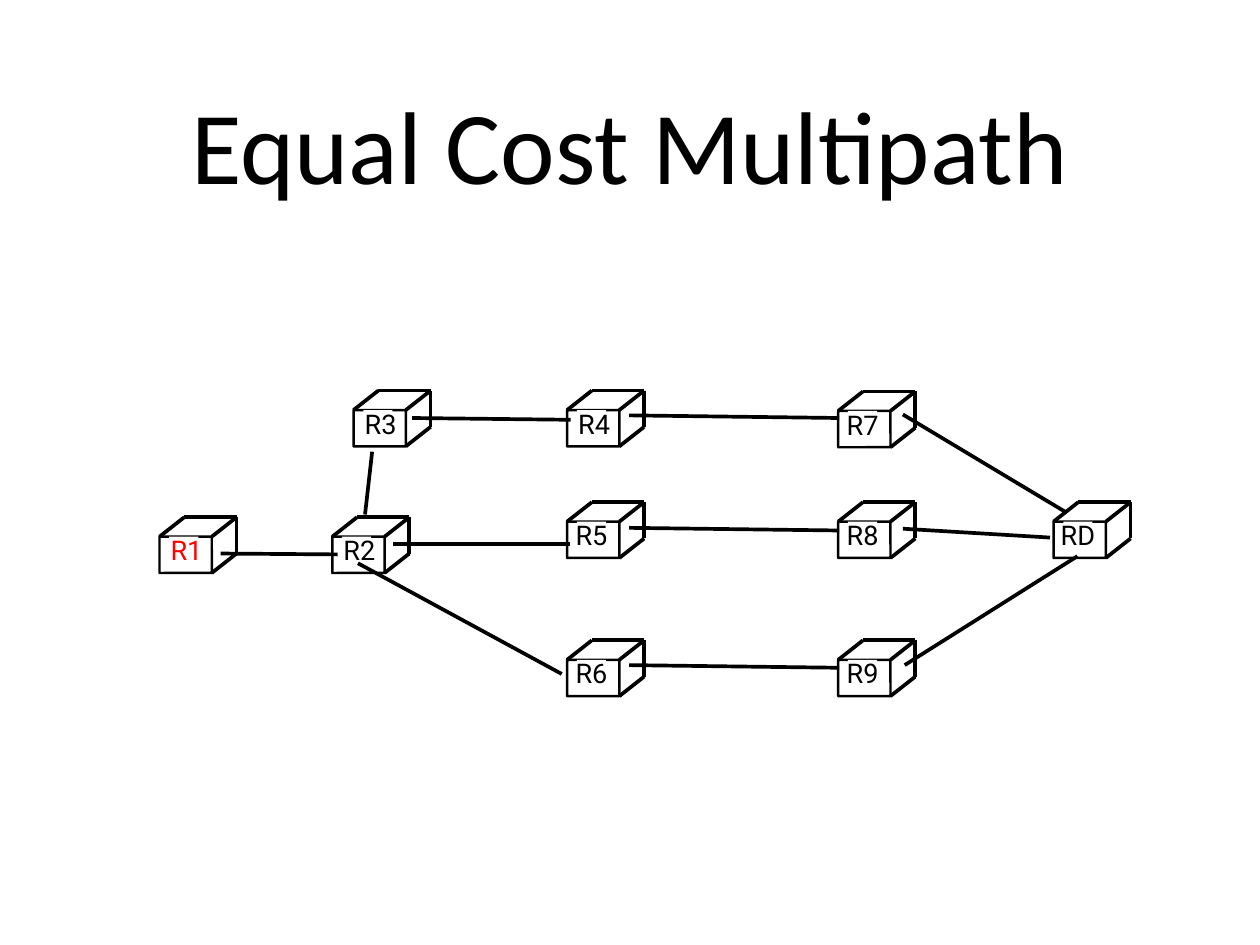
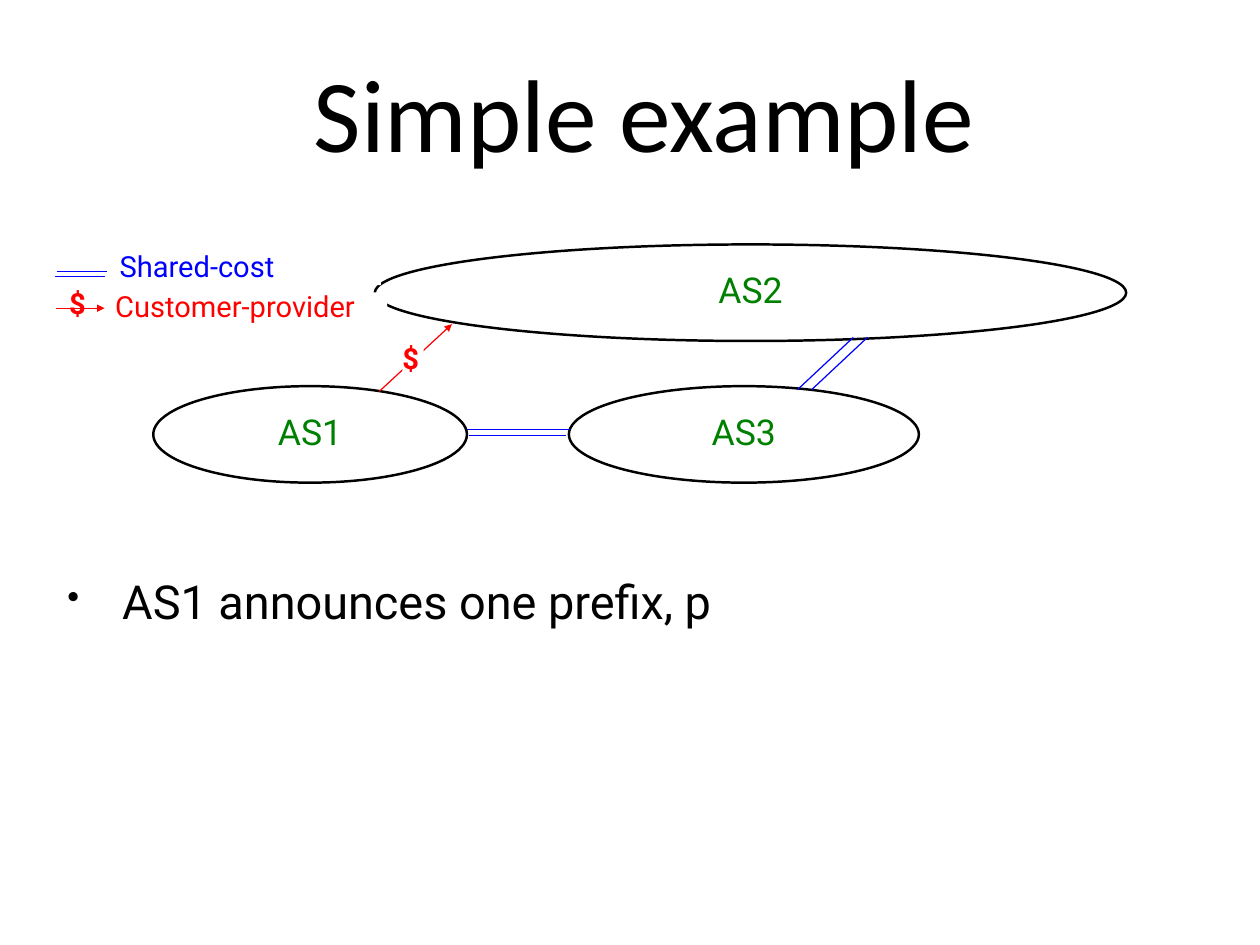
from typing import NamedTuple

from pptx import Presentation
from pptx.dml.color import RGBColor
from pptx.enum.shapes import MSO_CONNECTOR, MSO_SHAPE
from pptx.enum.text import MSO_ANCHOR, PP_ALIGN
from pptx.oxml.ns import qn
from pptx.util import Emu, Pt
from lxml import etree

PX = 9144  # 100 px to the inch
SLIDE_W, SLIDE_H = 1422, 1067

BLACK = RGBColor(0x00, 0x00, 0x00)
WHITE = RGBColor(0xFF, 0xFF, 0xFF)
RED = RGBColor(0xFF, 0x00, 0x00)
GREEN = RGBColor(0x00, 0x80, 0x00)
BLUE = RGBColor(0x00, 0x00, 0xFF)

STRAIGHT = MSO_CONNECTOR.STRAIGHT
RECT, ROUND_RECT, OVAL = MSO_SHAPE.RECTANGLE, MSO_SHAPE.ROUNDED_RECTANGLE, MSO_SHAPE.OVAL
MIDDLE = MSO_ANCHOR.MIDDLE
LEFT, CENTER = PP_ALIGN.LEFT, PP_ALIGN.CENTER


class Box(NamedTuple):
    x: int
    y: int
    w: int
    h: int


class Line(NamedTuple):
    x1: int
    y1: int
    x2: int
    y2: int


class Style(NamedTuple):
    size: float
    color: RGBColor = BLACK
    font: str = "Roboto"
    bold: bool = False
    spacing: float = 0.84


class Router(NamedTuple):
    name: str
    x: int
    y: int
    color: RGBColor = BLACK
    label_dx: int = 7


class Domain(NamedTuple):
    name: str
    box: Box


TITLE = Style(84, font="Calibri", spacing=1.0)
BODY = Style(38.1)
AS_NAME = Style(28.9, GREEN)
ROUTER_SIZE = 22
SHARED = Style(23.6, BLUE)
CUSTOMER = Style(23.6, RED)
DOLLAR = Style(23.6, RED, bold=True)

# Router cube: front face and the depth of its upper right edges
FRONT_W, FRONT_H, DEPTH_X, DEPTH_Y = 59, 41, 28, 22
TOP_Y, MID_Y, LOW_Y = 463, 589, 745
COL_4, COL_7 = 640, 946

ROUTERS = [
    Router("R1", 180, 606, RED, 10),
    Router("R2", 375, 606, label_dx=10),
    Router("R3", 399, TOP_Y, label_dx=10),
    Router("R4", COL_4, TOP_Y, label_dx=10),
    Router("R5", COL_4, MID_Y),
    Router("R6", COL_4, LOW_Y),
    Router("R7", COL_7, TOP_Y + 1),
    Router("R8", COL_7, MID_Y),
    Router("R9", COL_7, LOW_Y),
    Router("RD", 1189, MID_Y),
]
LINKS = [
    Line(249, 625, 381, 626),
    Line(412, 581, 420, 510),
    Line(444, 614, 643, 614),
    Line(404, 636, 634, 761),
    Line(465, 472, 644, 474),
    *(Line(710, y, 947, y + 3) for y in (469, 596, 751)),
    Line(1019, 468, 1204, 579),
    Line(1019, 597, 1185, 607),
    Line(1021, 751, 1216, 628),
]

DOMAINS = [
    Domain("AS1", Box(173, 436, 354, 109)),
    Domain("AS2", Box(423, 276, 848, 109)),
    Domain("AS3", Box(642, 436, 395, 109)),
]
SHARED_LINES = [
    Line(62, 312, 119, 312),
    Line(64, 307, 121, 307),
    Line(529, 492, 639, 492),
    Line(527, 485, 643, 485),
    Line(900, 440, 963, 381),
    Line(916, 440, 979, 381),
]


def emu(*lengths: int) -> list[Emu]:
    return [Emu(v * PX) for v in lengths]


def write(shape, text: str, style: Style, align=CENTER, inset: int = 0, wrap: bool = True):
    tf = shape.text_frame
    tf.word_wrap = wrap
    tf.vertical_anchor = MIDDLE
    tf.margin_left = tf.margin_right = Emu(inset * PX)
    tf.margin_top = tf.margin_bottom = 0
    p = tf.paragraphs[0]
    p.alignment = align
    p.line_spacing = style.spacing
    r = p.add_run()
    r.text = text
    r.font.name = style.font
    r.font.size = Pt(style.size)
    r.font.bold = style.bold
    r.font.color.rgb = style.color
    return p


def add_text(shapes, box: Box, text: str, style: Style, align=CENTER, inset: int = 0,
             wrap: bool = True):
    return write(shapes.add_textbox(*emu(*box)), text, style, align, inset, wrap)


def add_shape(shapes, kind, box: Box, filled: bool = True, outlined: bool = True):
    sp = shapes.add_shape(kind, *emu(*box))
    sp.shadow.inherit = False
    if filled:
        sp.fill.solid()
        sp.fill.fore_color.rgb = WHITE
    else:
        sp.fill.background()
    if outlined:
        sp.line.color.rgb = BLACK
        sp.line.width = Pt(2)
    else:
        sp.line.fill.background()
    return sp


def add_line(shapes, line: Line, color: RGBColor = BLACK, width: int = 3,
             arrow: bool = False) -> None:
    cx = shapes.add_connector(STRAIGHT, *emu(*line))
    cx.line.color.rgb = color
    cx.line.width = Pt(width)
    if arrow:
        etree.SubElement(cx.line._get_or_add_ln(), qn("a:tailEnd"), type="triangle")
    etree.SubElement(cx._element.spPr, qn("a:effectLst"))


def add_router(s, router: Router) -> None:
    shapes = s.shapes.add_group_shape().shapes
    x, y = router.x, router.y
    right, bottom = x + FRONT_W, y + FRONT_H
    back_x, back_y = right + DEPTH_X, y - DEPTH_Y
    front = add_shape(shapes, ROUND_RECT, Box(x, y, FRONT_W, FRONT_H))
    front.adjustments[0] = 0.004
    for edge_x, edge_y in ((x, y), (right, y), (right, bottom)):
        add_line(shapes, Line(edge_x, edge_y, edge_x + DEPTH_X, edge_y - DEPTH_Y))
    add_line(shapes, Line(x + DEPTH_X, back_y, back_x, back_y))
    add_line(shapes, Line(back_x, back_y, back_x, bottom - DEPTH_Y))
    add_shape(shapes, RECT, Box(x + 11, y, 33, 38), outlined=False)
    add_text(shapes, Box(x + router.label_dx, y, 41, 36), router.name,
             Style(ROUTER_SIZE, router.color), wrap=False)


def add_plate(s, box: Box, text: str, style: Style, inset: int = 0) -> None:
    """White plate that masks what lies behind its text."""
    sp = add_shape(s.shapes, RECT, box, outlined=False)
    write(sp, text, style, LEFT, inset, wrap=False)


def add_bullet(p) -> None:
    pPr = p._p.get_or_add_pPr()
    pPr.set("marL", str(68 * PX))
    pPr.set("indent", str(-62 * PX))
    clr = etree.SubElement(pPr, qn("a:buClr"))
    etree.SubElement(clr, qn("a:srgbClr"), val=str(BLACK))
    etree.SubElement(pPr, qn("a:buSzPct"), val="75000")
    etree.SubElement(pPr, qn("a:buChar"), char="•")


def add_slide(prs, title: str, box: Box):
    s = prs.slides.add_slide(prs.slide_layouts[6])
    add_text(s.shapes, box, title, TITLE, inset=6)
    return s


def multipath_slide(prs) -> None:
    s = add_slide(prs, "Equal Cost Multipath", Box(139, 28, 1144, 267))
    for router in ROUTERS:
        add_router(s, router)
    for link in LINKS:
        add_line(s.shapes, link)


def example_slide(prs) -> None:
    s = add_slide(prs, "Simple example", Box(247, 35, 960, 182))
    for domain in DOMAINS:
        sp = add_shape(s.shapes, OVAL, domain.box, filled=False)
        write(sp, domain.name, AS_NAME)

    # Legend
    add_text(s.shapes, Box(78, 328, 18, 34), "$", DOLLAR, wrap=False)
    add_plate(s, Box(128, 330, 309, 38), "Customer-provider", CUSTOMER, 2)
    add_plate(s, Box(134, 284, 296, 38), "Shared-cost", SHARED, 1)
    add_line(s.shapes, Line(63, 348, 118, 348), RED, 1, arrow=True)

    # Relations between the domains
    add_line(s.shapes, Line(428, 442, 510, 366), RED, 1, arrow=True)
    add_plate(s, Box(454, 387, 24, 40), "$", DOLLAR)
    for line in SHARED_LINES:
        add_line(s.shapes, line, BLUE, 1)

    p = add_text(s.shapes, Box(65, 381, 1336, 605), "AS1 announces one prefix, p",
                 BODY, LEFT, inset=5)
    add_bullet(p)


def main() -> None:
    prs = Presentation()
    prs.slide_width, prs.slide_height = emu(SLIDE_W, SLIDE_H)
    multipath_slide(prs)
    example_slide(prs)
    prs.save("out.pptx")


if __name__ == "__main__":
    main()
